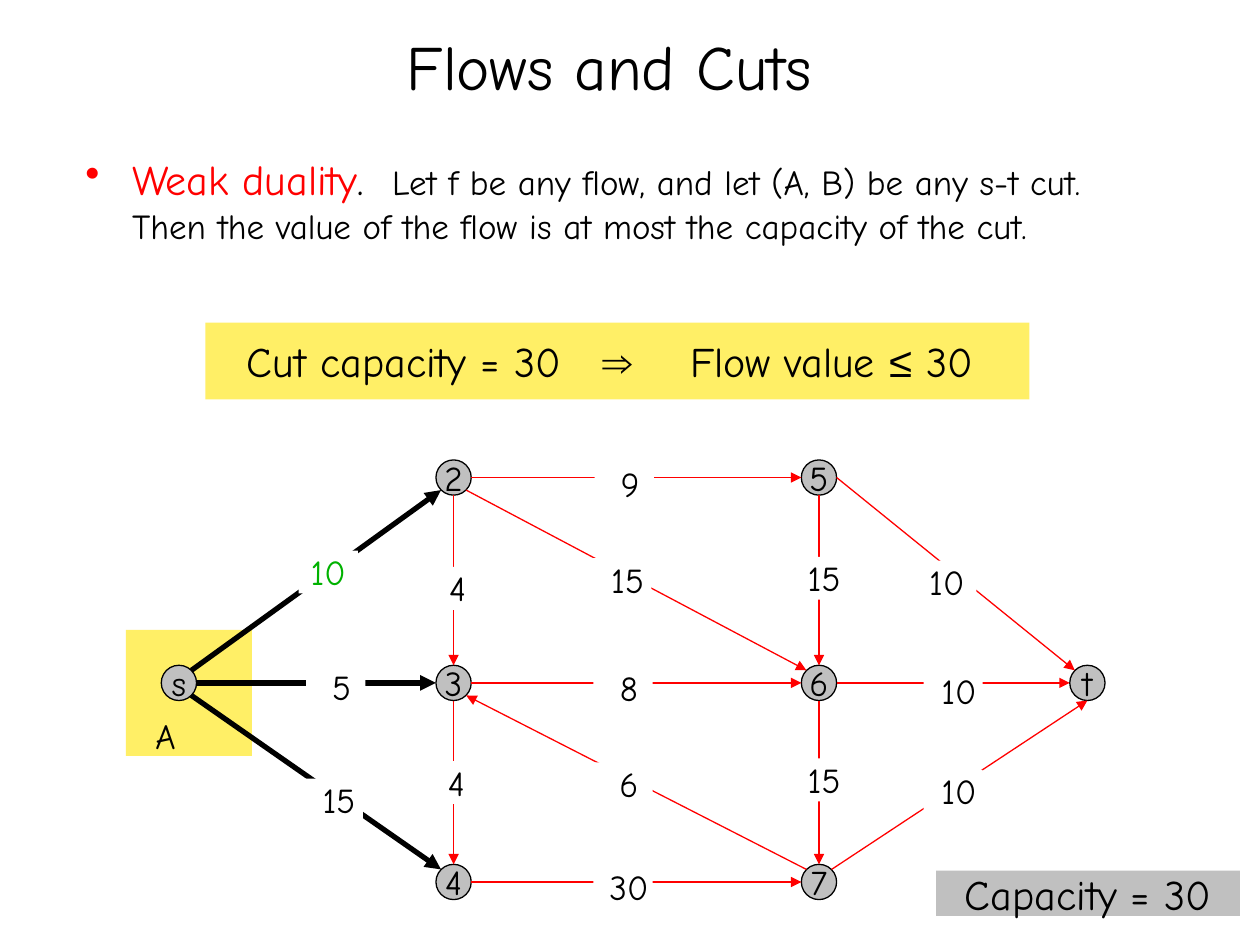
from lxml import etree
from pptx import Presentation
from pptx.dml.color import RGBColor
from pptx.enum import shapes, text
from pptx.oxml import ns
from pptx.util import Inches, Pt

FONT = "Comic Neue"
BLACK, RED, GREEN, GRAY, YELLOW, WHITE = "000000", "FF0000", "00B200", "C0C0C0", "FFEF66", "FFFFFF"
RADIUS, DIAGONAL = 0.14, 0.1

TITLE = "Flows and Cuts"
DUALITY = [
    ("Weak duality", 24, RED),
    (".  ", 24, BLACK),
    ("Let f be any flow, and let (A, B) be any s-t cut.  Then the value of the flow "
     "is at most the capacity of the cut.", 20, BLACK),
]
BOUND = [("Cut capacity = 30\t", FONT), ("⇒", "Arial"), ("\tFlow value ", FONT), ("≤", "Arial"), (" 30", FONT)]

COLUMNS = [1.42, 3.6, 6.5, 8.63]
ROWS = [3.79, 5.42, 7.0]
NODES = {"s": (0, 1), "2": (1, 0), "3": (1, 1), "4": (1, 2),
         "5": (2, 0), "6": (2, 1), "7": (2, 2), "t": (3, 1)}
SITES = {"N": (0, -RADIUS), "S": (0, RADIUS), "W": (-RADIUS, 0), "E": (RADIUS, 0),
         "NW": (-DIAGONAL, -DIAGONAL), "NE": (DIAGONAL, -DIAGONAL),
         "SW": (-DIAGONAL, DIAGONAL), "SE": (DIAGONAL, DIAGONAL)}
EDGES = [
    ("s", "NE", "2", "SW"), ("s", "E", "3", "W"), ("s", "SE", "4", "NW"),
    ("2", "E", "5", "W"), ("2", "SE", "6", "NW"), ("2", "S", "3", "N"),
    ("3", "E", "6", "W"), ("3", "S", "4", "N"), ("4", "E", "7", "W"),
    ("7", "NW", "3", "SE"), ("5", "S", "6", "N"), ("6", "S", "7", "N"),
    ("5", "E", "t", "NW"), ("6", "E", "t", "W"), ("7", "NE", "t", "S"),
]
CAPACITIES = [
    (" 15", 2.41, 6.18), (" 5", 2.43, 5.28), ("10", 2.37, 4.37),
    (" 9", 4.72, 3.67), (" 15", 4.7, 4.43), (" 8", 4.71, 5.29), (" 6", 4.71, 6.05), (" 30", 4.71, 6.87),
    (" 4", 3.35, 4.5), (" 4", 3.34, 6.04), (" 15", 6.26, 4.42), (" 15", 6.26, 6.02),
    ("10", 7.28, 4.45), (" 10", 7.33, 5.31), (" 10", 7.33, 6.11),
]
CUT_START = (0.97, 5.03)
CUT_CURVES = [
    (1.03, 4.99, 1.11, 4.91, 1.18, 4.89), (1.35, 4.82, 1.55, 4.8, 1.73, 4.79),
    (1.84, 4.77, 1.94, 4.75, 2.06, 4.79), (2.1, 4.8, 2.11, 4.86, 2.14, 4.9),
    (2.16, 4.93, 2.2, 4.98, 2.2, 4.98), (2.23, 5.14, 2.22, 5.06, 2.24, 5.22),
    (2.23, 5.39, 2.33, 5.77, 2.13, 5.9), (2.09, 5.96, 2.06, 5.97, 2, 6.01),
    (1.9, 6.07, 1.99, 6.03, 1.87, 6.1), (1.81, 6.13, 1.72, 6.13, 1.65, 6.15),
    (1.61, 6.15, 1.56, 6.15, 1.52, 6.14), (1.5, 6.13, 1.49, 6.12, 1.48, 6.11),
    (1.44, 6.09, 1.43, 6.1, 1.39, 6.08), (1.26, 6, 1.36, 6.04, 1.27, 6.01),
    (1.18, 5.92, 1.1, 5.83, 1.03, 5.73), (1.02, 5.7, 1.01, 5.67, 1, 5.64),
    (0.98, 5.6, 0.97, 5.5, 0.97, 5.5), (0.97, 5.43, 0.97, 5.36, 0.96, 5.29),
    (0.96, 5.21, 0.93, 5.09, 0.97, 5.03),
]


def rgb(color):
    return RGBColor.from_string(color)


def paint(sp, color):
    sp.fill.solid()
    sp.fill.fore_color.rgb = rgb(color)


def style(font, size, color=BLACK, name=FONT):
    font.size, font.name = Pt(size), name
    font.color.rgb = rgb(color)


def frame(sp, inset, anchor, wrap):
    tf = sp.text_frame
    tf.margin_left = tf.margin_right = Inches(inset[0])
    tf.margin_top = tf.margin_bottom = Inches(inset[1])
    tf.vertical_anchor, tf.word_wrap = anchor, wrap
    return tf


def box(s, at, inset=(0.1, 0.05), anchor=text.MSO_ANCHOR.TOP, wrap=True, fill=None):
    sp = s.shapes.add_textbox(*map(Inches, at))
    if fill:
        paint(sp, fill)
    return frame(sp, inset, anchor, wrap)


def write(tf, words, size, color=BLACK):
    p = tf.paragraphs[0]
    p.alignment = text.PP_ALIGN.CENTER
    style(p.font, size, color)
    p.add_run().text = words


def add_xml(parent, tag, **attributes):
    return etree.SubElement(parent, ns.qn(tag), attributes)


def add_duality(s):
    p = box(s, (0.58, 1.17, 8.42, 4)).paragraphs[0]
    pPr = p._p.get_or_add_pPr()
    pPr.set("marL", str(Inches(0.37)))
    pPr.set("indent", str(-Inches(0.37)))
    add_xml(add_xml(pPr, "a:buClr"), "a:srgbClr", val=RED)
    add_xml(pPr, "a:buChar", char="•")
    for words, size, color in DUALITY:
        r = p.add_run()
        r.text = words
        style(r.font, size, color)


def add_bound(s):
    p = box(s, (1.63, 2.56, 6.54, 0.61), (0.33, 0.1), fill=YELLOW).paragraphs[0]
    stops = add_xml(p._p.get_or_add_pPr(), "a:tabLst")
    for stop in (2.82, 3.52):
        add_xml(stops, "a:tab", pos=str(Inches(stop)), algn="l")
    for words, name in BOUND:
        r = p.add_run()
        r.text = words
        style(r.font, 24, name=name)


def add_cut(s):
    points, (x0, y0) = [], CUT_START
    for x1, y1, x2, y2, x3, y3 in CUT_CURVES:
        for t in (0.25, 0.5, 0.75, 1):
            u = 1 - t
            weights = (u ** 3, 3 * u * u * t, 3 * u * t * t, t ** 3)
            points.append(tuple(sum(w * v for w, v in zip(weights, values))
                                for values in ((x0, x1, x2, x3), (y0, y1, y2, y3))))
        x0, y0 = x3, y3
    builder = s.shapes.build_freeform(*CUT_START, scale=Inches(1))
    builder.add_line_segments(points, close=True)
    sp = builder.convert_to_shape()
    sp.shadow.inherit = False
    paint(sp, YELLOW)
    sp.line.fill.background()


def center(node):
    column, row = NODES[node]
    return COLUMNS[column], ROWS[row]


def add_node(s, node):
    x, y = center(node)
    sp = s.shapes.add_shape(shapes.MSO_SHAPE.OVAL, Inches(x - RADIUS), Inches(y - RADIUS),
                            Inches(2 * RADIUS), Inches(2 * RADIUS))
    sp.shadow.inherit = False
    paint(sp, GRAY)
    sp.line.color.rgb, sp.line.width = rgb(BLACK), Pt(0.75)
    write(frame(sp, (0.1, 0.05), text.MSO_ANCHOR.MIDDLE, False), node, 20)


def add_edge(s, start, start_site, end, end_site):
    ends = [c + d for node, site in ((start, start_site), (end, end_site))
            for c, d in zip(center(node), SITES[site])]
    line = s.shapes.add_connector(shapes.MSO_CONNECTOR.STRAIGHT, *map(Inches, ends))
    color, width = (BLACK, 3) if start == "s" else (RED, 0.75)
    line.line.color.rgb, line.line.width = rgb(color), Pt(width)
    add_xml(line.line._get_or_add_ln(), "a:tailEnd", type="triangle")
    add_xml(line._element.spPr, "a:effectLst")


def main():
    prs = Presentation()
    prs.slide_width, prs.slide_height = Inches(10), Inches(7.5)
    s = prs.slides.add_slide(prs.slide_layouts[6])
    write(box(s, (1.08, -0.88, 7.51, 1.75), anchor=text.MSO_ANCHOR.BOTTOM), TITLE, 36)
    add_duality(s)
    add_bound(s)
    add_cut(s)
    for node in NODES:
        add_node(s, node)
    for edge in EDGES:
        add_edge(s, *edge)
    for words, x, y in CAPACITIES:
        color = GREEN if (words, x) == ("10", 2.37) else BLACK
        write(box(s, (x, y, 0.47, 0.34), (0, 0), fill=WHITE), words, 20, color)
    write(box(s, (7.43, 6.91, 2.41, 0.36), (0.1, 0.1), text.MSO_ANCHOR.MIDDLE, fill=GRAY), "Capacity = 30", 24)
    write(box(s, (1.21, 5.67, 0.21, 0.34), (0, 0), wrap=False), "A", 20)
    prs.save("out.pptx")


if __name__ == "__main__":
    main()
